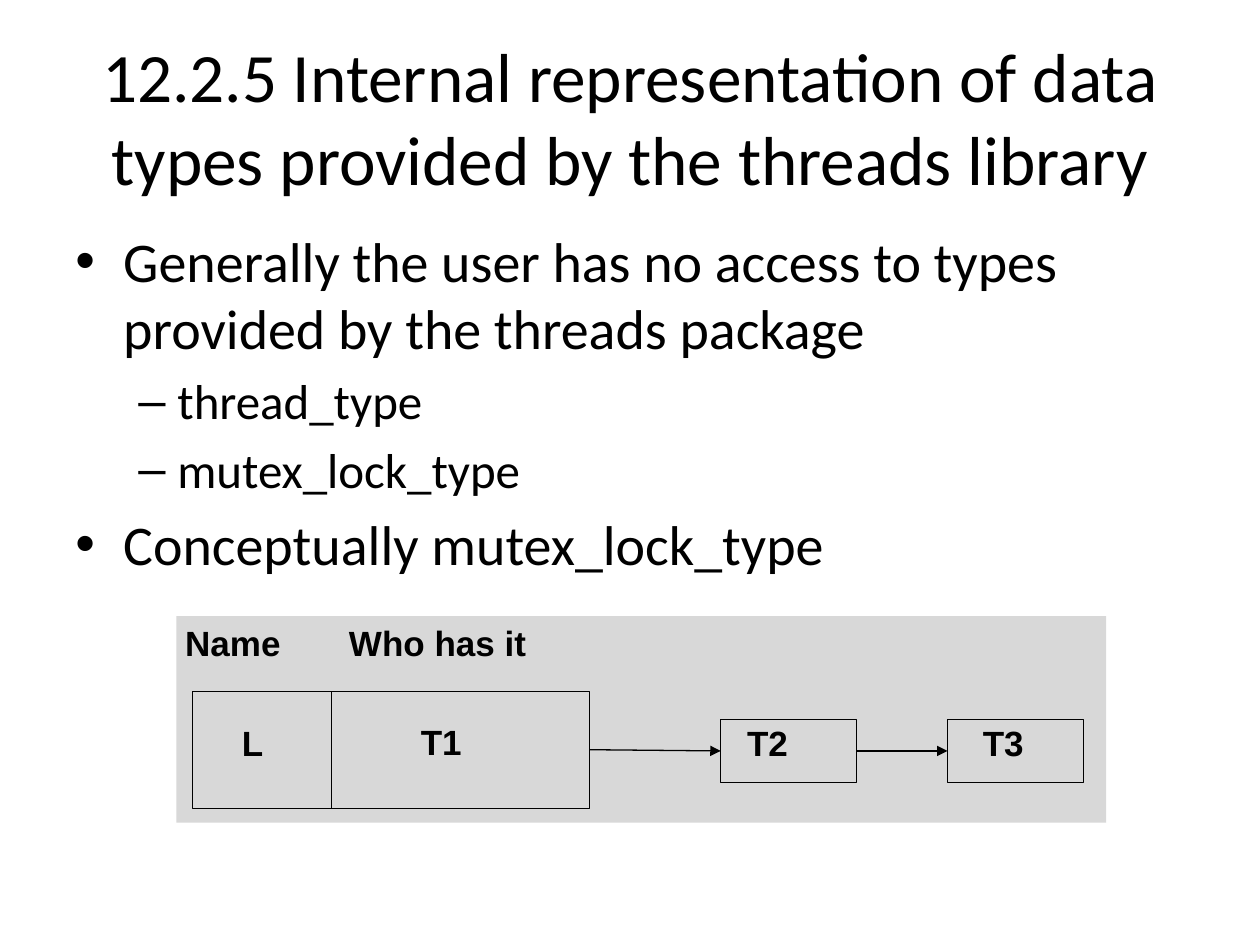
from lxml.etree import SubElement
from pptx import Presentation
from pptx.dml.color import RGBColor
from pptx.enum.shapes import MSO_CONNECTOR, MSO_SHAPE
from pptx.enum.text import MSO_ANCHOR, PP_ALIGN
from pptx.oxml.ns import qn
from pptx.util import Inches, Pt

BLACK = "000000"
PANEL_GREY = "D8D8D8"

# Level -> bullet, text size, left margin, hanging indent
BULLET_STYLES = {
    0: ("•", 32, 0.38, 0.38),
    1: ("–", 28, 0.81, 0.31),
}


def color(hex_string):
    return RGBColor.from_string(hex_string)


def add_run(paragraph, text, size, font="Calibri", bold=False):
    run = paragraph.add_run()
    run.text = text
    run.font.name = font
    run.font.size = Pt(size)
    run.font.bold = bold
    run.font.color.rgb = color(BLACK)


def add_text_frame(slide, left, top, width, height, margins=(0.1, 0.05)):
    box = slide.shapes.add_textbox(
        Inches(left), Inches(top), Inches(width), Inches(height))
    frame = box.text_frame
    frame.word_wrap = True
    frame.margin_left = frame.margin_right = Inches(margins[0])
    frame.margin_top = frame.margin_bottom = Inches(margins[1])
    return frame


def add_title(slide, text):
    frame = add_text_frame(slide, 0.5, 0.3, 9, 1.25)
    frame.vertical_anchor = MSO_ANCHOR.MIDDLE
    paragraph = frame.paragraphs[0]
    paragraph.alignment = PP_ALIGN.CENTER
    add_run(paragraph, text, 39.6)


def add_bullets(slide, items):
    frame = add_text_frame(slide, 0.5, 1.75, 9, 4.95)
    for index, (level, text) in enumerate(items):
        paragraph = frame.add_paragraph() if index else frame.paragraphs[0]
        bullet, size, margin, hanging = BULLET_STYLES[level]
        paragraph.level = level
        paragraph.space_before = Pt(size * 0.2)
        properties = paragraph._p.get_or_add_pPr()
        properties.set("marL", str(Inches(margin)))
        properties.set("indent", str(-Inches(hanging)))
        SubElement(properties, qn("a:buFont"), typeface="Arial")
        SubElement(properties, qn("a:buChar"), char=bullet)
        add_run(paragraph, text, size)


def add_label(slide, text, left, top, width, tab=None):
    frame = add_text_frame(slide, left, top, width, 0.5, margins=(0.07, 0.04))
    paragraph = frame.paragraphs[0]
    paragraph.space_after = Pt(10)
    if tab:
        tabs = SubElement(paragraph._p.get_or_add_pPr(), qn("a:tabLst"))
        SubElement(tabs, qn("a:tab"), pos=str(Inches(tab)), algn="l")
    add_run(paragraph, text, 20, "Arial", bold=True)


def add_rectangle(slide, left, top, width, height, fill=None, line=None):
    shape = slide.shapes.add_shape(
        MSO_SHAPE.RECTANGLE,
        Inches(left), Inches(top), Inches(width), Inches(height))
    shape.shadow.inherit = False
    if fill:
        shape.fill.solid()
        shape.fill.fore_color.rgb = color(fill)
    else:
        shape.fill.background()
    if line:
        shape.line.color.rgb = color(line)
        shape.line.width = Pt(0.75)
    else:
        shape.line.fill.background()


def add_line(slide, start, end, arrow=False):
    connector = slide.shapes.add_connector(
        MSO_CONNECTOR.STRAIGHT,
        *(Inches(value) for value in (*start, *end)))
    connector.line.color.rgb = color(BLACK)
    connector.line.width = Pt(0.75)
    if arrow:
        SubElement(connector.line._get_or_add_ln(), qn("a:tailEnd"),
                   type="triangle")
    SubElement(connector._element.spPr, qn("a:effectLst"))


def add_mutex_diagram(slide):
    add_rectangle(slide, 1.4, 4.89, 7.38, 1.64, fill=PANEL_GREY)
    add_label(slide, "Name\tWho has it", 1.4, 4.89, 3.17, tab=1.3)

    # Lock record: name and current holder
    add_rectangle(slide, 1.53, 5.49, 3.15, 0.93, line=BLACK)
    add_line(slide, (2.63, 5.49), (2.63, 6.42))
    add_label(slide, "L", 1.85, 5.69, 0.64)
    add_label(slide, "T1", 3.27, 5.68, 0.8)

    # Queue of waiting threads
    waiting_width = 1.08
    previous_end = (4.68, 5.95)
    for name, left, label_left in (("T2", 5.72, 5.86), ("T3", 7.52, 7.73)):
        add_rectangle(slide, left, 5.71, waiting_width, 0.5, line=BLACK)
        add_label(slide, name, label_left, 5.69, 0.8)
        add_line(slide, previous_end, (left, 5.96), arrow=True)
        previous_end = (left + waiting_width, 5.96)


def main():
    presentation = Presentation()
    presentation.slide_width = Inches(10)
    presentation.slide_height = Inches(7.5)
    slide = presentation.slides.add_slide(presentation.slide_layouts[6])

    add_title(slide, "12.2.5 Internal representation of data types "
                     "provided by the threads library")
    add_bullets(slide, [
        (0, "Generally the user has no access to types "
            "provided by the threads package"),
        (1, "thread_type"),
        (1, "mutex_lock_type"),
        (0, "Conceptually mutex_lock_type"),
    ])
    add_mutex_diagram(slide)

    presentation.save("out.pptx")


if __name__ == "__main__":
    main()
